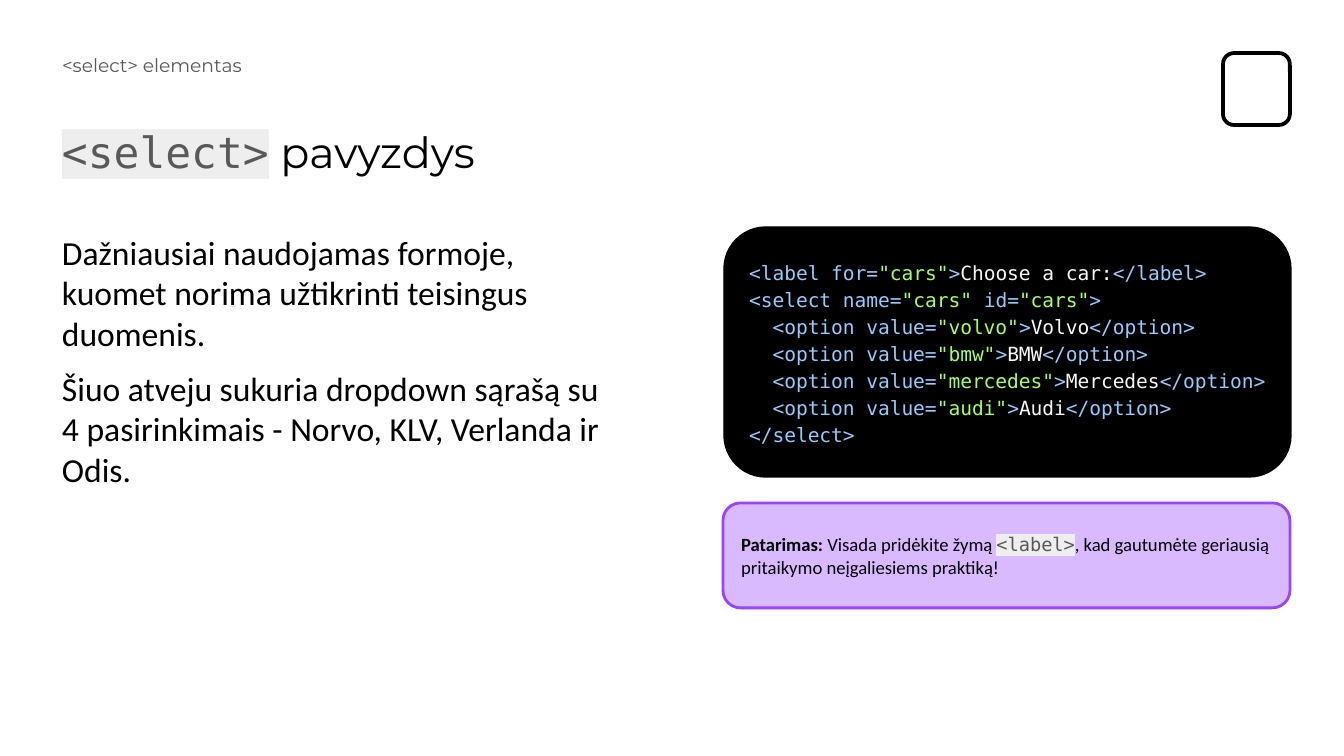
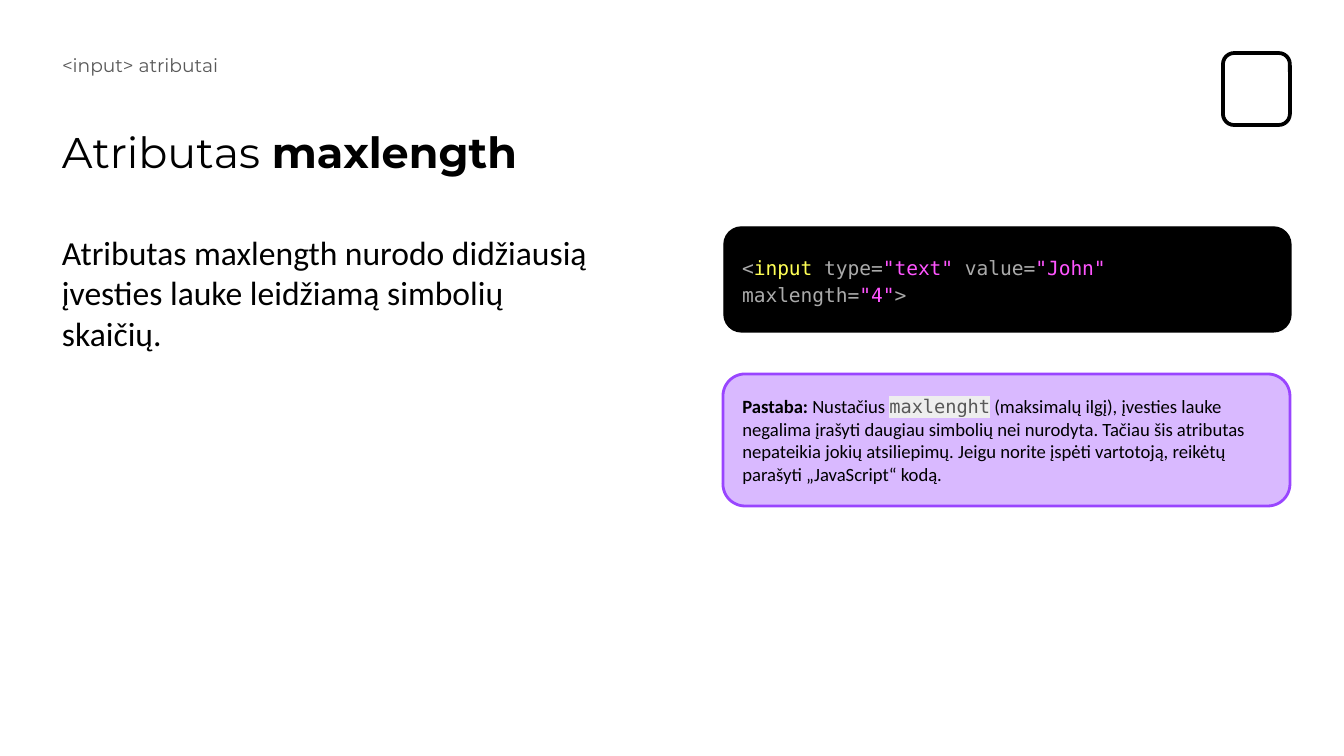
from lxml.etree import SubElement
from pptx import Presentation
from pptx.dml.color import RGBColor
from pptx.enum.shapes import MSO_SHAPE
from pptx.enum.text import MSO_ANCHOR, PP_ALIGN
from pptx.oxml.ns import qn
from pptx.util import Pt

PX = 914400 / 134.4  # EMU per px

BLACK = RGBColor(0x00, 0x00, 0x00)
WHITE = RGBColor(0xFF, 0xFF, 0xFF)
GREY = RGBColor(0x59, 0x59, 0x59)
PALE_GREY = RGBColor(0xEE, 0xEE, 0xEE)
LILAC = RGBColor(0xD9, 0xB9, 0xFF)
VIOLET = RGBColor(0x99, 0x45, 0xFF)
CODE_BLUE = RGBColor(0x96, 0xCB, 0xFE)
CODE_GREEN = RGBColor(0xA8, 0xFF, 0x60)
CODE_WHITE = RGBColor(0xF8, 0xF8, 0xF8)
CODE_GREY = RGBColor(0xAA, 0xAA, 0xAA)
CODE_YELLOW = RGBColor(0xFF, 0xFF, 0x55)
CODE_PINK = RGBColor(0xFF, 0x55, 0xFF)

HEADING = "Montserrat"
BODY = "Calibri"
MONO = "DejaVu Sans Mono"

# style name: font, size, colour, bold, highlight
STYLES = {
    "section": (HEADING, 10, GREY, False, None),
    "title": (HEADING, 23, BLACK, False, None),
    "title bold": (HEADING, 23, BLACK, True, None),
    "title code": (MONO, 23, GREY, False, PALE_GREY),
    "body": (BODY, 18, BLACK, False, None),
    "note": (BODY, 10, BLACK, False, None),
    "note bold": (BODY, 10, BLACK, True, None),
    "note code": (MONO, 10, GREY, False, PALE_GREY),
    "tag": (MONO, 10.5, CODE_BLUE, False, None),
    "string": (MONO, 10.5, CODE_GREEN, False, None),
    "plain": (MONO, 10.5, CODE_WHITE, False, None),
    "markup": (MONO, 10.5, CODE_GREY, False, None),
    "element": (MONO, 10.5, CODE_YELLOW, False, None),
    "value": (MONO, 10.5, CODE_PINK, False, None),
}

select_code = [
    ("<label for=", "tag"), ('"cars"', "string"), (">", "tag"),
    ("Choose a car:", "plain"), ("</label>\n<select name=", "tag"),
    ('"cars"', "string"), (" id=", "tag"), ('"cars"', "string"), (">\n", "tag"),
]
for car in ("Volvo", "BMW", "Mercedes", "Audi"):
    select_code += [
        ("  ", "plain"), ("<option value=", "tag"), (f'"{car.lower()}"', "string"),
        (">", "tag"), (car, "plain"), ("</option>\n", "tag"),
    ]
select_code.append(("</select>", "tag"))

SLIDES = [
    {
        "section": "<select> elementas",
        "title": [("<select>", "title code"), (" pavyzdys", "title")],
        "body": [
            "Dažniausiai naudojamas formoje, kuomet norima užtikrinti teisingus duomenis.",
            "Šiuo atveju sukuria dropdown sąrašą su 4 pasirinkimais - Norvo, KLV, Verlanda ir Odis.",
        ],
        "body height": 276,
        "code": select_code,
        "code height": 250,
        "note": [
            ("Patarimas: ", "note bold"), ("Visada pridėkite žymą ", "note"),
            ("<label>", "note code"),
            (", kad gautumėte geriausią pritaikymo neįgaliesiems praktiką!", "note"),
        ],
        "note top": 503,
        "note height": 105,
    },
    {
        "section": "<input> atributai",
        "title": [("Atributas ", "title"), ("maxlength", "title bold")],
        "body": [
            "Atributas maxlength nurodo didžiausią įvesties lauke leidžiamą simbolių skaičių.",
        ],
        "body height": 489,
        "code": [
            ("<", "markup"), ("input", "element"), (" type=", "markup"),
            ('"text"', "value"), (" value=", "markup"), ('"John"', "value"),
            (" maxlength=", "markup"), ('"4"', "value"), (">", "markup"),
        ],
        "code height": 105,
        "note": [
            ("Pastaba: ", "note bold"), ("Nustačius ", "note"), ("maxlenght", "note code"),
            (" (maksimalų ilgį), įvesties lauke negalima įrašyti daugiau simbolių nei "
             "nurodyta. Tačiau šis atributas nepateikia jokių atsiliepimų. Jeigu norite "
             "įspėti vartotoją, reikėtų parašyti „JavaScript“ kodą.", "note"),
        ],
        "note top": 374,
        "note height": 132,
    },
]


def add_panel(page, frame, fill=None, line=None, line_width=0.75):
    """Add a rounded panel, or a plain text box when no fill is given."""
    frame = [round(length * PX) for length in frame]
    if fill is None:
        box = page.shapes.add_textbox(*frame)
        insets = (10, 5, 10, 5)
    else:
        box = page.shapes.add_shape(MSO_SHAPE.ROUNDED_RECTANGLE, *frame)
        box.adjustments[0] = 0.167
        box.shadow.inherit = False
        box.fill.solid()
        box.fill.fore_color.rgb = fill
        box.line.color.rgb = line
        box.line.width = Pt(line_width)
        box.text_frame.vertical_anchor = MSO_ANCHOR.MIDDLE
        insets = (13, 13, 8, 13)
    text_frame = box.text_frame
    text_frame.word_wrap = True
    (text_frame.margin_left, text_frame.margin_top,
     text_frame.margin_right, text_frame.margin_bottom) = [round(i * PX) for i in insets]
    return text_frame


def write_spans(paragraph, spans, line_spacing=1.0):
    """Write (text, style) spans; a newline in the text becomes a line break."""
    paragraph.alignment = PP_ALIGN.LEFT
    paragraph.line_spacing = line_spacing
    for text, style in spans:
        font_name, size, colour, bold, highlight = STYLES[style]
        for number, part in enumerate(text.split("\n")):
            if number:
                paragraph.add_line_break()
            if not part:
                continue
            span = paragraph.add_run()
            span.text = part
            span.font.size = Pt(size)
            span.font.bold = bold
            span.font.color.rgb = colour
            if highlight is not None:
                mark = SubElement(span.font._element, qn("a:highlight"))
                SubElement(mark, qn("a:srgbClr"), val=str(highlight))
            span.font.name = font_name


deck = Presentation()
deck.slide_width = round(1344 * PX)
deck.slide_height = round(756 * PX)

for content in SLIDES:
    page = deck.slides.add_slide(deck.slide_layouts[6])
    add_panel(page, (1223, 53, 67, 72), WHITE, BLACK, 2)

    title = add_panel(page, (52, 125, 1133, 60))
    title.vertical_anchor = MSO_ANCHOR.MIDDLE
    write_spans(title.paragraphs[0], content["title"], 0.9)

    body = add_panel(page, (52, 227, 567, content["body height"]))
    for number, sentence in enumerate(content["body"]):
        paragraph = body.add_paragraph() if number else body.paragraphs[0]
        write_spans(paragraph, [(sentence, "body")])
        if number:
            paragraph.space_before = Pt(8)

    section = add_panel(page, (52, 51, 620, 50))
    write_spans(section.paragraphs[0], [(content["section"], "section")], 0.9)

    code = add_panel(page, (724, 227, 567, content["code height"]), BLACK, BLACK)
    write_spans(code.paragraphs[0], content["code"], 1.15)

    note = add_panel(page, (723, content["note top"], 567, content["note height"]),
                     LILAC, VIOLET, 1.5)
    write_spans(note.paragraphs[0], content["note"])

deck.save("out.pptx")
